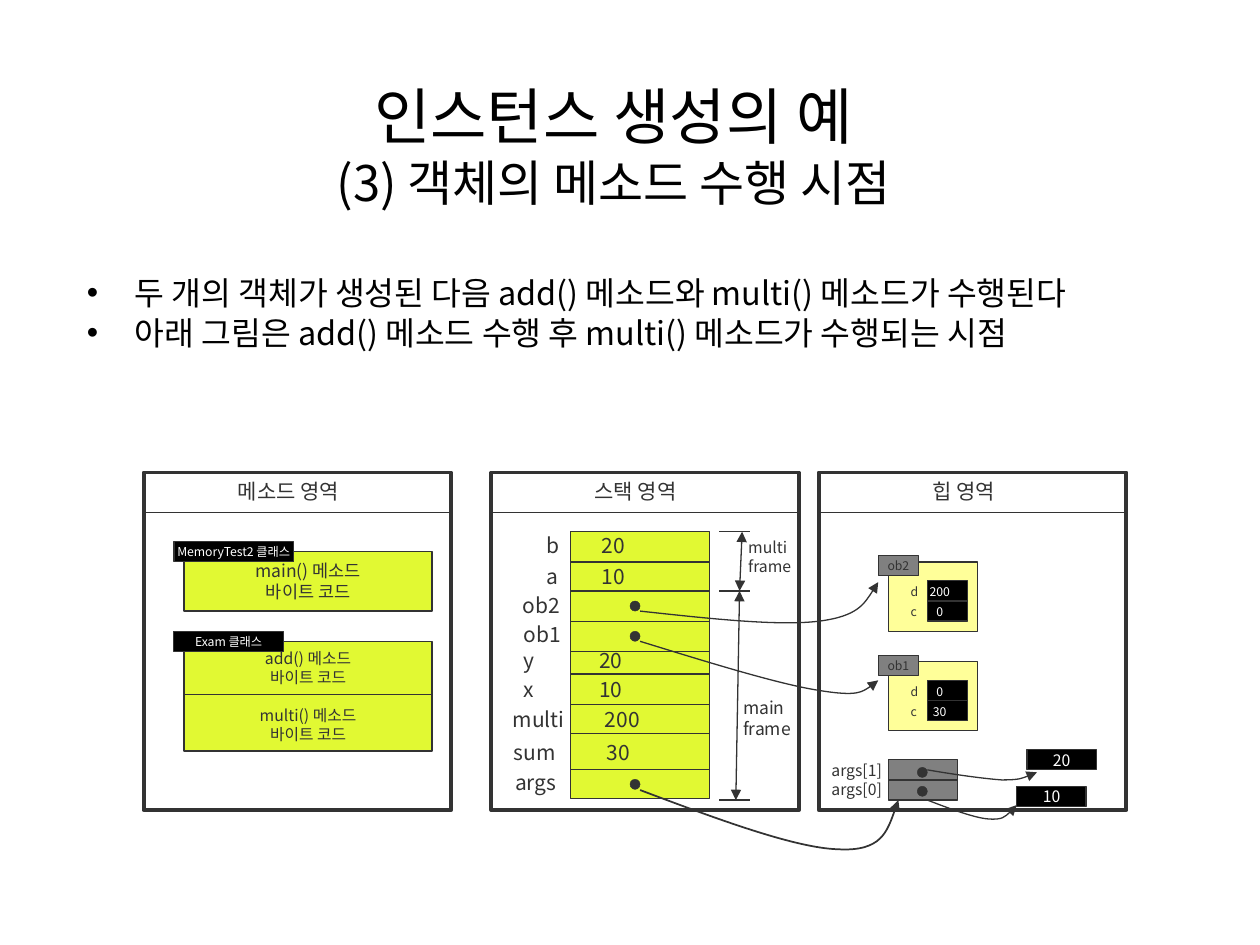
from lxml.etree import SubElement
from pptx import Presentation
from pptx.dml.color import RGBColor
from pptx.enum.shapes import MSO_CONNECTOR, MSO_SHAPE
from pptx.enum.text import MSO_ANCHOR, MSO_AUTO_SIZE, PP_ALIGN
from pptx.oxml.ns import qn
from pptx.util import Emu, Inches, Pt

FONT = "Noto Sans CJK KR"
BLACK = RGBColor(0x00, 0x00, 0x00)
WHITE = RGBColor(0xFF, 0xFF, 0xFF)
DARK = RGBColor(0x33, 0x33, 0x33)
GREY = RGBColor(0x80, 0x80, 0x80)
LIME = RGBColor(0xE1, 0xF9, 0x33)
CREAM = RGBColor(0xFF, 0xFF, 0x99)

# Content; lengths in inches
TITLE = [("인스턴스 생성의 예", 35), ("(3) 객체의 메소드 수행 시점", 28)]
BULLETS = [
    "두 개의 객체가 생성된 다음 add() 메소드와 multi() 메소드가 수행된다",
    "아래 그림은 add() 메소드 수행 후 multi() 메소드가 수행되는 시점",
]
# name, panel left, label left, label width
AREAS = [("메소드 영역", 1.14, 1.79, 1.05),
         ("스택 영역", 3.9, 4.62, 0.89),
         ("힙 영역", 6.5, 7.3, 0.73)]
BYTECODE = "바이트 코드"
# class, tag width, top, height, text size, methods
CLASSES = [("MemoryTest2 클래스", 0.95, 4.38, 0.47, 10, ["main() 메소드"]),
           ("Exam 클래스", 0.87, 5.09, 0.87, 9, ["add() 메소드", "multi() 메소드"])]
# name, value (None is a reference), label left, label top, value centre
STACK = [("b", "20", 4.24, 4.18, 4.87), ("a", "10", 4.24, 4.42, 4.87),
         ("ob2", None, 4.05, 4.65, 5.04), ("ob1", None, 4.06, 4.88, 5.04),
         ("y", "20", 4.06, 5.09, 4.85), ("x", "10", 4.06, 5.32, 4.85),
         ("multi", "200", 3.97, 5.56, 4.94), ("sum", "30", 3.98, 5.82, 4.91),
         ("args", None, 3.99, 6.06, 5.04)]
STACK_X, STACK_W = 4.53, 1.1
STACK_LINES = [4.22, 4.46, 4.69, 4.93, 5.17, 5.35, 5.59, 5.82, 6.11, 6.34]
FRAME_TICKS = [4.22, 4.69, 6.35]
# name, text left, text top, width, size, arrow x at top and bottom
FRAMES = [("multi", 5.84, 4.22, 0.57, 9, 5.89, 5.87),
          ("main", 5.8, 5.48, 0.77, 10, 5.87, 5.84)]
OBJECTS = [("ob1", 5.25, [("d", "0"), ("c", "30")]),
           ("ob2", 4.46, [("d", "200"), ("c", "0")])]
ARGS = [("args[1]", "20", 8.15, 5.95), ("args[0]", "10", 8.07, 6.24)]
# start, then two cubic segments; line width
CURVES = [
    ([(7.36, 6.35), (7.54, 6.42), (7.73, 6.49), (7.84, 6.5),
      (7.96, 6.51), (8.02, 6.45), (8.07, 6.39)], 0.75),
    ([(7.36, 6.11), (7.59, 6.15), (7.81, 6.18), (7.95, 6.19),
      (8.1, 6.19), (8.16, 6.16), (8.23, 6.13)], 0.75),
    ([(5.08, 5.09), (5.63, 5.26), (6.18, 5.43), (6.5, 5.48),
      (6.81, 5.53), (6.89, 5.47), (6.97, 5.4)], 0.75),
    ([(5.08, 4.85), (5.63, 4.91), (6.18, 4.97), (6.5, 4.93),
      (6.81, 4.89), (6.89, 4.75), (6.97, 4.62)], 0.75),
    ([(5.08, 6.27), (5.69, 6.5), (6.31, 6.73), (6.65, 6.74),
      (7, 6.76), (7.06, 6.55), (7.13, 6.35)], 1),
]

prs = Presentation()
prs.slide_width, prs.slide_height = Inches(10), Inches(7.5)
s = prs.slides.add_slide(prs.slide_layouts[1])


def place(sp, x, y, w, h):
    sp.left, sp.top, sp.width, sp.height = (Inches(v) for v in (x, y, w, h))


def add_run(p, text, size, color):
    r = p.add_run()
    r.text = text
    r.font.name, r.font.size = FONT, Pt(size)
    r.font.color.rgb = color
    SubElement(r.font._element, qn("a:ea"), typeface=FONT)


def write(sp, lines, size=12, color=DARK, align=PP_ALIGN.LEFT,
          anchor=MSO_ANCHOR.TOP, wrap=True):
    tf = sp.text_frame
    tf.word_wrap, tf.vertical_anchor = wrap, anchor
    tf.auto_size = MSO_AUTO_SIZE.NONE
    for i, line in enumerate(lines):
        p = tf.paragraphs[0] if i == 0 else tf.add_paragraph()
        p.alignment = align
        add_run(p, line, size, color)
    return tf


def label(lines, x, y, w, h=0.3, **fmt):
    return write(s.shapes.add_textbox(*map(Inches, (x, y, w, h))), lines, **fmt)


def pair(name, value, x, y, w, h, center, size, color=DARK):
    """A name and its value, the value centred on a tab stop."""
    p = label([name + "\t"], x, y, w, h, size=size).paragraphs[0]
    tabs = SubElement(p._p.get_or_add_pPr(), qn("a:tabLst"))
    SubElement(tabs, qn("a:tab"), pos=str(Inches(center - x - 0.1)), algn="ctr")
    add_run(p, value, size, color)


def box(x, y, w, h, fill=None, lines=(), line=0.75, kind=MSO_SHAPE.RECTANGLE, **fmt):
    sp = s.shapes.add_shape(kind, *map(Inches, (x, y, w, h)))
    sp.shadow.inherit = False
    if fill is None:
        sp.fill.background()
    else:
        sp.fill.solid()
        sp.fill.fore_color.rgb = fill
    sp.line.color.rgb, sp.line.width = DARK, Pt(line)
    return write(sp, lines, align=PP_ALIGN.CENTER, anchor=MSO_ANCHOR.MIDDLE,
                 wrap=False, **fmt)


def dot(x, y):
    box(x - 0.04, y - 0.04, 0.08, 0.08, DARK, line=0.25, kind=MSO_SHAPE.OVAL)


def arrowheads(sp, *ends):
    for end in ends:
        SubElement(sp.line._get_or_add_ln(), qn(f"a:{end}"), type="triangle")


def line(x1, y1, x2, y2):
    c = s.shapes.add_connector(MSO_CONNECTOR.STRAIGHT, *map(Inches, (x1, y1, x2, y2)))
    c.line.color.rgb, c.line.width = DARK, Pt(0.75)
    SubElement(c._element.spPr, qn("a:effectLst"))
    return c


def curve(points, width):
    fb = s.shapes.build_freeform(*points[0], scale=Emu(914400))
    fb = s.shapes.build_freeform(*map(Inches, points[0]))
    fb.add_line_segments([tuple(map(Inches, pt)) for pt in points[1:]], close=False)
    sp = fb.convert_to_shape()
    sp.shadow.inherit = False
    sp.fill.background()
    sp.line.color.rgb, sp.line.width = DARK, Pt(width)
    arrowheads(sp, "tailEnd")
    # Each three line points become one cubic segment
    geom = next(sp._element.iter(qn("a:pathLst")))[0]
    steps = geom.findall(qn("a:lnTo"))
    for i in range(0, len(steps), 3):
        bez = SubElement(geom, qn("a:cubicBezTo"))
        for step in steps[i:i + 3]:
            bez.append(step[0])
            geom.remove(step)


# Title and bullets
title, body = s.placeholders
place(title, 0.25, 0.75, 9.24, 0.8)
(first, size1), (second, size2) = TITLE
p = write(title, [first], size=size1, color=BLACK, align=PP_ALIGN.CENTER,
          anchor=MSO_ANCHOR.MIDDLE).paragraphs[0]
p.add_line_break()
add_run(p, second, size2, BLACK)
place(body, 0.59, 2.18, 8.5, 1.11)
for p in write(body, BULLETS, size=18.5, color=BLACK).paragraphs:
    p.line_spacing, p.space_before = 0.8, Pt(5)
    pPr = p._p.get_or_add_pPr()
    pPr.set("marL", str(Inches(0.38)))
    pPr.set("indent", str(-Inches(0.38)))
    SubElement(pPr, qn("a:buChar"), char="•")

# Memory areas
for name, x, label_x, label_w in AREAS:
    box(x, 3.75, 2.44, 2.68, line=2.25)
    line(x, 4.07, x + 2.44, 4.07)
    label([name], label_x, 3.75, label_w, wrap=False)

# Method area: classes
for name, tag_w, y, h, size, methods in CLASSES:
    lines = [t for m in methods for t in (m, BYTECODE)]
    tf = box(1.46, y, 1.97, h, LIME, lines, size=size)
    for p in tf.paragraphs[2::2]:
        p.space_before = Pt(11)
    box(1.38, y - 0.08, tag_w, 0.16, BLACK, [name], size=7, color=WHITE)
line(1.46, 5.51, 3.43, 5.51)

# Stack area: cells, variables and frames
box(STACK_X, STACK_LINES[0], STACK_W, STACK_LINES[-1] - STACK_LINES[0], LIME)
for y in STACK_LINES[1:-1]:
    line(STACK_X, y, STACK_X + STACK_W, y)
for (name, value, x, y, center), top, bottom in zip(STACK, STACK_LINES, STACK_LINES[1:]):
    if value:
        pair(name, value, x, y, 1.42, 0.3, center, 12)
    else:
        label([name], x, y, 0.54, wrap=False)
        dot(center, (top + bottom) / 2)
for y in FRAME_TICKS:
    line(5.71, y, 5.95, y)
for (name, x, y, w, size, x1, x2), top, bottom in zip(FRAMES, FRAME_TICKS, FRAME_TICKS[1:]):
    arrowheads(line(x1, top, x2, bottom), "headEnd", "tailEnd")
    label([name, "frame"], x, y, w, 0.42, size=size)

# Heap area: objects and arguments
for name, y, fields in OBJECTS:
    box(7.05, y, 0.71, 0.55, CREAM)
    box(7.36, y + 0.15, 0.32, 0.32, BLACK)
    line(7.36, y + 0.31, 7.68, y + 0.31)
    box(6.97, y - 0.05, 0.32, 0.16, GREY, [name], size=7)
    for i, (field, value) in enumerate(fields):
        pair(field, value, 7.13, y + 0.13 + 0.16 * i, 0.63, 0.22, 7.46, 7, WHITE)
box(7.05, 6.03, 0.55, 0.32, GREY)
line(7.05, 6.19, 7.6, 6.19)
label([name for name, *_ in ARGS], 6.5, 5.99, 0.61, 0.4, size=9, wrap=False)
for i, (_, value, x, y) in enumerate(ARGS):
    dot(7.32, 6.13 + 0.15 * i)
    box(x, y, 0.55, 0.16, BLACK, [value], size=9, color=WHITE)

# Reference arrows
for points, width in CURVES:
    curve(points, width)

prs.save("out.pptx")
